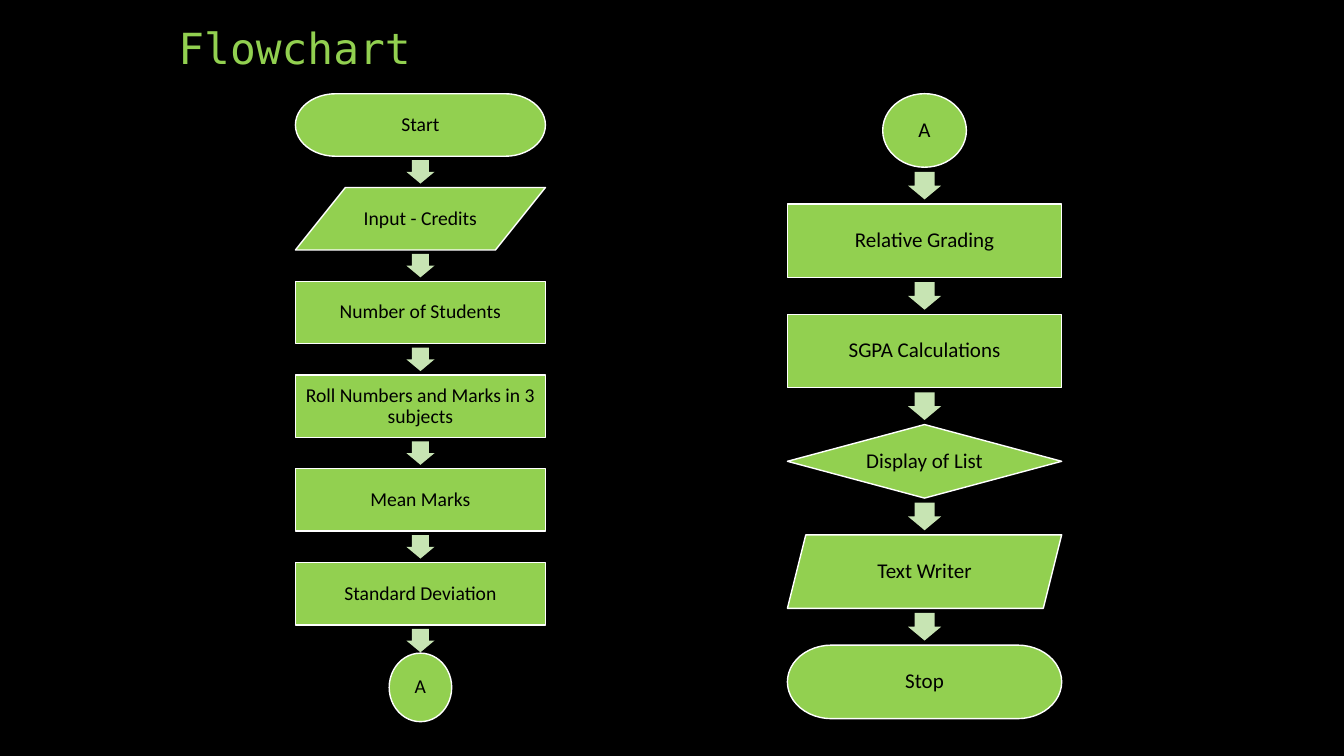
from pptx import Presentation, util as u
from pptx.dml.color import RGBColor
from pptx.enum import shapes, text

KIND = shapes.MSO_SHAPE
GREEN, PALE, WHITE, BLACK = "92D050", "C7E4B3", "FFFFFF", "000000"
TOP = 0.93
LEFT = [
    ("Start", KIND.FLOWCHART_TERMINATOR),
    ("Input - Credits", KIND.FLOWCHART_DATA),
    ("Number of Students", KIND.RECTANGLE),
    ("Roll Numbers and Marks in 3 subjects", KIND.RECTANGLE),
    ("Mean Marks", KIND.RECTANGLE),
    ("Standard Deviation", KIND.RECTANGLE),
    ("A", KIND.OVAL),
]
RIGHT = [
    ("A", KIND.OVAL),
    ("Relative Grading", KIND.RECTANGLE),
    ("SGPA Calculations", KIND.RECTANGLE),
    ("Display of List", KIND.DIAMOND),
    ("Text Writer", KIND.PARALLELOGRAM),
    ("Stop", KIND.FLOWCHART_TERMINATOR),
]
LEFT[1:2] = [("Input - Credits", KIND.FLOWCHART_DATA)]
RIGHT[3:4] = [("Display of List", KIND.FLOWCHART_DECISION)]


def paint(fmt, color):
    fmt.solid()
    fmt.fore_color.rgb = RGBColor.from_string(color)


def assign(obj, **values):
    for name, value in values.items():
        setattr(obj, name, value)


def write(frame, words, size, font, color, align):
    frame.text = words
    para = frame.paragraphs[0]
    assign(para, alignment=align, line_spacing=0.9)
    assign(para.font, size=u.Pt(size), name=font)
    paint(para.font.fill, color)


def place(group, kind, mid, row, wide, high, color):
    """Add a shape centred on the point (mid, row)."""
    box = [u.Inches(n) for n in (mid - wide / 2, row - high / 2, wide, high)]
    shape = group.shapes.add_shape(kind, *box)
    shape.shadow.inherit = False
    paint(shape.fill, color)
    return shape


def add_step(group, kind, words, mid, row, wide, high, size):
    shape = place(group, kind, mid, row, wide, high, GREEN)
    paint(shape.line.fill, WHITE)
    shape.line.width = u.Pt(1)
    frame = shape.text_frame
    pad = u.Inches(0.06)
    assign(frame, margin_left=pad, margin_right=pad, margin_top=pad,
           margin_bottom=pad, word_wrap=True,
           vertical_anchor=text.MSO_ANCHOR.MIDDLE)
    write(frame, words, size, "Calibri", BLACK, text.PP_ALIGN.CENTER)


def add_arrow(group, mid, row, pitch):
    arrow = place(group, KIND.RIGHT_ARROW, mid, row, pitch / 4, pitch * 0.3, PALE)
    arrow.rotation = 90
    arrow.adjustments[0] = 0.6
    arrow.line.fill.background()


def add_flow(slide, steps, mid, pitch, wide, round_size, size):
    """Stack the steps, each two thirds of the pitch high, with arrows between."""
    group = slide.shapes.add_group_shape()
    high = pitch * 2 / 3
    for i, (words, kind) in enumerate(steps):
        row = TOP + high / 2 + i * pitch
        if i:
            add_arrow(group, mid, row - pitch / 2, pitch)
        span = round_size if kind == KIND.OVAL else (wide, high)
        add_step(group, kind, words, mid, row, *span, size)


def add_title(slide, words):
    title = slide.shapes.title
    assign(title, left=u.Inches(1.67), top=u.Inches(0.21),
           width=u.Inches(10), height=u.Inches(0.57))
    assign(title.text_frame, auto_size=text.MSO_AUTO_SIZE.NONE,
           vertical_anchor=text.MSO_ANCHOR.BOTTOM)
    write(title.text_frame, words, 30.6, "DejaVu Sans Mono", GREEN,
          text.PP_ALIGN.LEFT)


def main():
    deck = Presentation()
    assign(deck, slide_width=u.Inches(13.33), slide_height=u.Inches(7.5))
    slide = deck.slides.add_slide(deck.slide_layouts[5])
    paint(slide.background.fill, BLACK)
    add_title(slide, "Flowchart")
    add_flow(slide, LEFT, 4.17, 0.93, 2.48, (0.62, 0.68), 14)
    add_flow(slide, RIGHT, 9.17, 1.094, 2.72, (0.83, 0.73), 15)
    deck.save("out.pptx")


if __name__ == "__main__":
    main()
